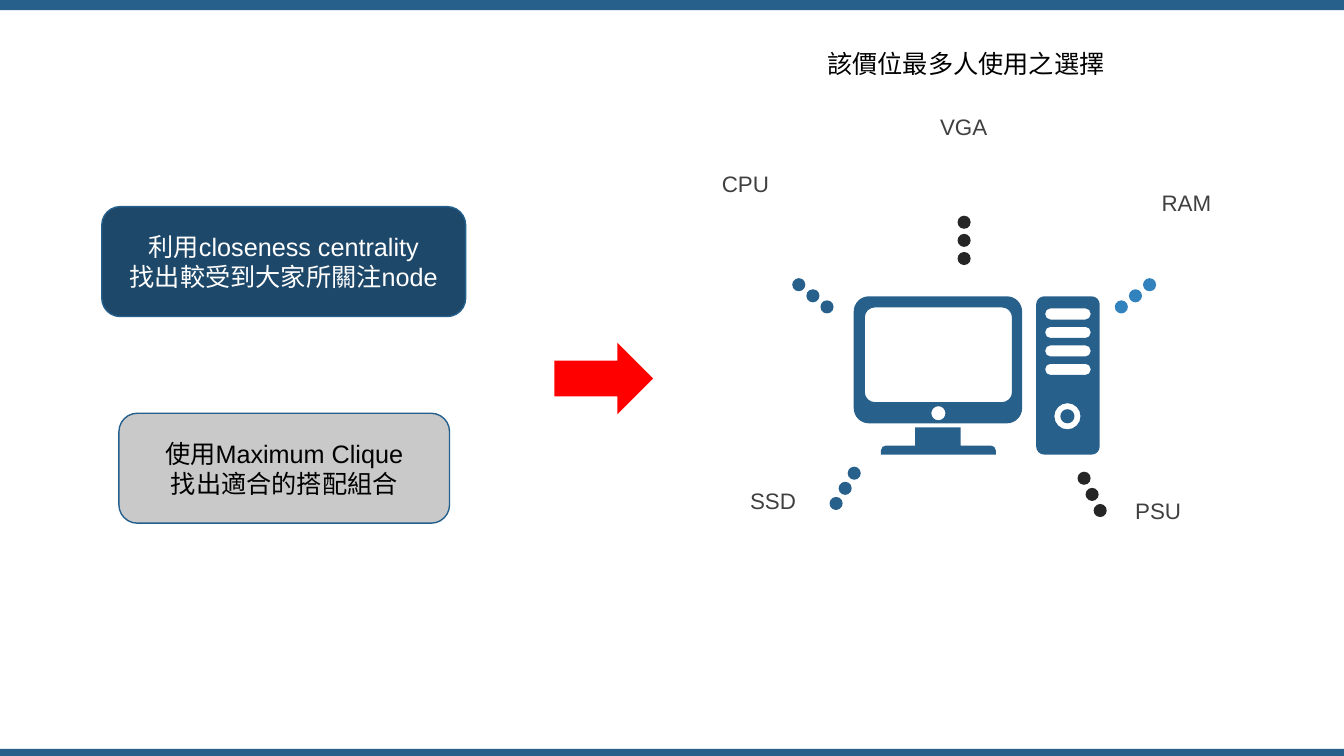
from pptx import Presentation
from pptx.dml.color import RGBColor
from pptx.enum.shapes import MSO_SHAPE
from pptx.enum.text import MSO_ANCHOR, PP_ALIGN
from pptx.oxml.ns import qn
from pptx.util import Inches, Pt

BLUE, DARK, SKY = "28608C", "262626", "3282BE"
WIDTH, HEIGHT = 40 / 3, 7.5

# label, its left, top and width, first dot, step to the next, dot colour
PARTS = [
    ("CPU", (0.06, 1.24, 0.67), (0.86, 2.36), (0.14, 0.11), BLUE),
    ("VGA", (2.22, 0.67, 0.68), (2.5, 1.74), (0, 0.18), DARK),
    ("RAM", (4.42, 1.43, 0.7), (4.34, 2.36), (-0.14, 0.11), SKY),
    ("SSD", (0.34, 4.38, 0.66), (1.23, 4.53), (0.09, -0.15), BLUE),
    ("PSU", (4.16, 4.48, 0.66), (3.85, 4.6), (-0.08, -0.16), DARK),
]


def color(code):
    return RGBColor.from_string(code)


def paint(shape, fill, line=None):
    shape.shadow.inherit = False
    shape.fill.solid()
    shape.fill.fore_color.rgb = color(fill)
    if line:
        shape.line.color.rgb = color(line)
        shape.line.width = Pt(1)
    else:
        shape.line.fill.background()


def draw(shapes, kind, box, fill, line=None):
    shape = shapes.add_shape(kind, *map(Inches, box))
    paint(shape, fill, line)
    return shape


def write(shape, lines, size, ink, align=PP_ALIGN.CENTER):
    frame = shape.text_frame
    for i, text in enumerate(lines):
        para = frame.paragraphs[0] if i == 0 else frame.add_paragraph()
        para.alignment = align
        run = para.add_run()
        run.text = text
        run.font.name = "Arial"
        run.font.size = Pt(size)
        run.font.color.rgb = color(ink)


def label(slide, box, text, size, ink, align=PP_ALIGN.CENTER):
    shape = slide.shapes.add_textbox(*map(Inches, box))
    shape.text_frame.word_wrap = False
    write(shape, [text], size, ink, align)


def bend(start, corner, end):
    """A rounded corner: two ends and, flagged True, two control points."""
    pull = [(p[0] + (corner[0] - p[0]) * 0.55,
             p[1] + (corner[1] - p[1]) * 0.55, True) for p in (start, end)]
    return [(*start, False), *pull, (*end, False)]


def curve(x, y, w, h, r):
    """A rounded box, clockwise from its top left corner."""
    e, f = x + w, y + h
    ring = (bend((x, y + r), (x, y), (x + r, y))
            + bend((e - r, y), (e, y), (e, y + r))
            + bend((e, f - r), (e, f), (e - r, f))
            + bend((x + r, f), (x, f), (x, f - r)))
    if 2 * r in (w, h):  # a circle or pill has no straight part on some sides
        ring = [p for i, p in enumerate(ring)
                if i == 0 or max(abs(p[0] - ring[i - 1][0]),
                                 abs(p[1] - ring[i - 1][1])) > 0.001]
    return ring


def disc(x, y, r):
    return curve(x - r, y - r, 2 * r, 2 * r, r)


def trace(slide, rings, left, top):
    """Draw all rings as one outline, with its rounded corners as curves."""
    pen, flags = None, []
    for ring in rings:
        spots = [(Inches(left + x), Inches(top + y)) for x, y, _ in ring]
        if pen:
            pen.move_to(*spots[0])
        else:
            pen = slide.shapes.build_freeform(*spots[0])
        pen.add_line_segments(spots[1:])
        flags += [flag for _, _, flag in ring[1:]]
    shape = pen.convert_to_shape()
    # Closing a ring adds a last line back to its start
    steps = [s for s in shape.element.iter(qn("a:lnTo"))]
    extra = len(steps) - len(flags)
    if extra:
        flags, i = [], 0
        for ring in rings:
            flags += [flag for _, _, flag in ring[1:]] + [False] * (extra // len(rings))
    i = 0
    while i < len(steps):
        if flags[i]:
            steps[i].tag = qn("a:cubicBezTo")
            for step in steps[i + 1:i + 3]:
                steps[i].append(step[0])
                step.getparent().remove(step)
            i += 2
        i += 1
    return shape


def frame(slide):
    draw(slide.shapes, MSO_SHAPE.RECTANGLE, (0, 0, WIDTH, 0.1), BLUE)
    draw(slide.shapes, MSO_SHAPE.RECTANGLE, (0, HEIGHT - 0.07, WIDTH, 0.07), BLUE)


def card(slide, box, lines, fill, ink):
    shape = draw(slide.shapes, MSO_SHAPE.ROUNDED_RECTANGLE, box, fill, "25608D")
    shape.text_frame.word_wrap = True
    shape.text_frame.vertical_anchor = MSO_ANCHOR.MIDDLE
    write(shape, lines, 18, ink)


def computer(slide, left, top):
    # Stand: stem on a foot with rounded top corners
    stem = [(0.61, 1.48), (0.61, 1.3), (1.06, 1.3), (1.06, 1.48)]
    stand = (bend((0.27, 1.53), (0.27, 1.48), (0.32, 1.48))
             + [(x, y, False) for x, y in stem]
             + bend((1.36, 1.48), (1.41, 1.48), (1.41, 1.53))
             + [(1.41, 1.57, False), (0.27, 1.57, False)])
    # Monitor with its screen and button cut out
    rings = [stand, curve(0, 0, 1.67, 1.26, 0.15),
             curve(0.11, 0.11, 1.46, 0.94, 0.1), disc(0.84, 1.16, 0.07)]
    # Tower with four slots and a power button
    rings += [curve(1.81, 0, 0.63, 1.57, 0.08)]
    rings += [curve(1.9, 0.12 + 0.55 * i / 3, 0.45, 0.11, 0.05) for i in range(4)]
    rings += [disc(2.12, 1.19, 0.13), disc(2.12, 1.19, 0.07)]
    paint(trace(slide, rings, left, top), BLUE)


def build(slide, left, top):
    label(slide, (left + 1.11, top + 0.03, 2.98, 0.4),
          "該價位最多人使用之選擇", 18, "000000", PP_ALIGN.LEFT)
    computer(slide, left + 1.47, top + 2.54)
    for name, (x, y, w), (dx, dy), (sx, sy), fill in PARTS:
        label(slide, (left + x, top + y, w, 0.37), name, 16, "404040")
        group = slide.shapes.add_group_shape()
        for i in range(3):
            dot = (left + dx + i * sx, top + dy + i * sy, 0.13, 0.13)
            draw(group.shapes, MSO_SHAPE.OVAL, dot, fill)


def main():
    deck = Presentation()
    deck.slide_width, deck.slide_height = Inches(WIDTH), Inches(HEIGHT)
    slide = deck.slides.add_slide(deck.slide_layouts[6])
    frame(slide)
    # Methods on the left
    card(slide, (1.01, 2.05, 3.61, 1.09),
         ["利用closeness centrality", "找出較受到大家所關注node"], "1E4869", "FFFFFF")
    card(slide, (1.18, 4.1, 3.28, 1.09),
         ["使用Maximum Clique", "找出適合的搭配組合"], "C9C9C9", "000000")
    draw(slide.shapes, MSO_SHAPE.RIGHT_ARROW, (5.5, 3.4, 0.98, 0.71), "FF0000")
    # Resulting build on the right
    build(slide, 7, 0.4)
    deck.save("out.pptx")


if __name__ == "__main__":
    main()
